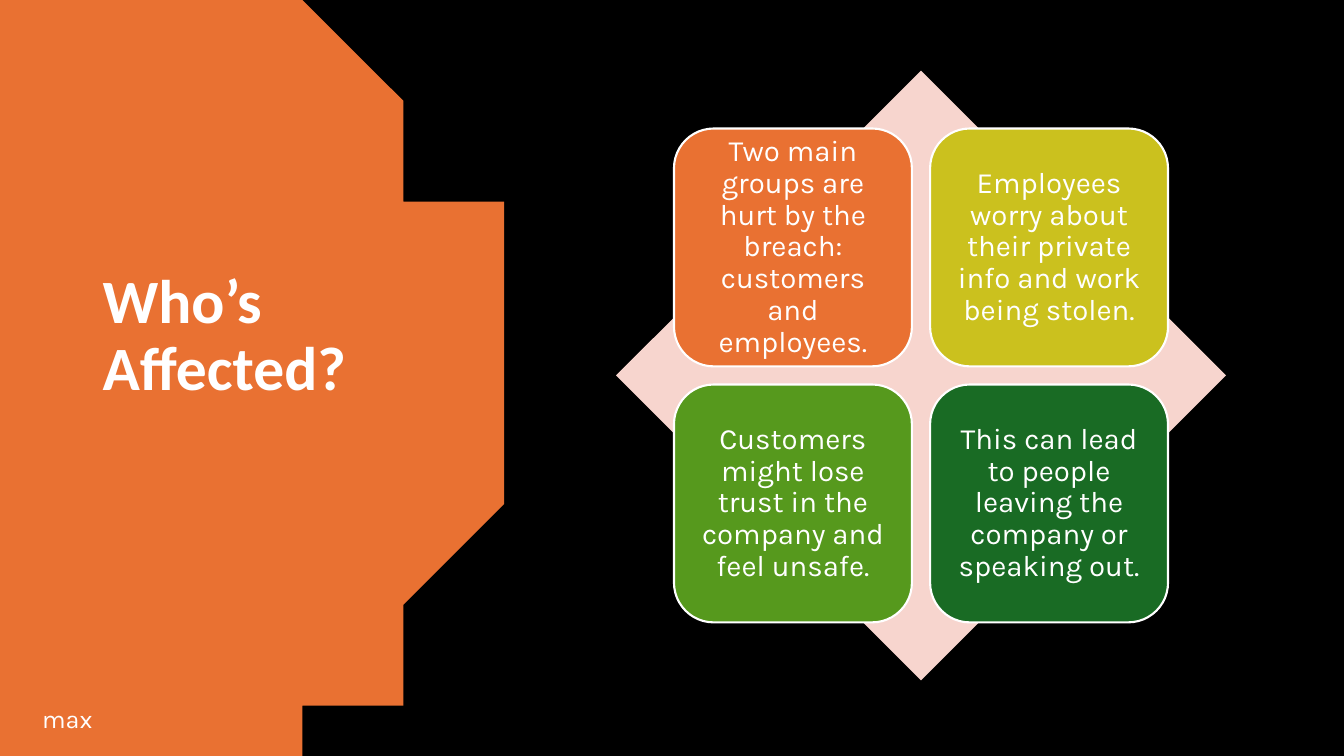
"""Build the "Who's Affected?" slide: a title on a disc beside a four-part matrix."""
from math import asin, cos, sin

from pptx import Presentation
from pptx.dml.color import RGBColor
from pptx.enum.shapes import MSO_SHAPE
from pptx.enum.text import MSO_ANCHOR, PP_ALIGN
from pptx.util import Inches, Pt

DIAMOND, ROUNDED = MSO_SHAPE.DIAMOND, MSO_SHAPE.ROUNDED_RECTANGLE
MIDDLE, TOP = MSO_ANCHOR.MIDDLE, MSO_ANCHOR.TOP
CENTER, LEFT = PP_ALIGN.CENTER, PP_ALIGN.LEFT
WIDTH, HEIGHT = 13.33, 7.5

THEME = {
    "background": "000000", "text": "FFFFFF", "disc": "E97132", "diamond": "F7D5CE",
    "title_font": "Calibri", "body_font": "Karla",
    "title_size": 44, "card_size": 21, "name_size": 18,
}


def paint(shape, color):
    shape.shadow.inherit = False
    shape.fill.solid()
    shape.fill.fore_color.rgb = RGBColor.from_string(color)
    shape.line.fill.background()


def write(box, text, font, size, anchor, align, spacing=1.0):
    frame = box.text_frame
    frame.word_wrap = True
    frame.vertical_anchor = anchor
    para = frame.paragraphs[0]
    para.text = text
    para.alignment = align
    para.line_spacing = spacing
    para.font.name = THEME[font]
    para.font.size = Pt(THEME[size])
    para.font.color.rgb = RGBColor.from_string(THEME["text"])
    return para


deck = Presentation()
deck.slide_width, deck.slide_height = Inches(WIDTH), Inches(HEIGHT)
page = deck.slides.add_slide(deck.slide_layouts[6])
page.background.fill.solid()
page.background.fill.fore_color.rgb = RGBColor.from_string(THEME["background"])

radius, disc_right, middle = 4.4, 4.93, HEIGHT / 2
steps = 40
sweep = asin(middle / radius)
angles = [sweep * (2 * step / steps - 1) for step in range(steps + 1)]
arc = [(disc_right - radius + radius * cos(angle), middle + radius * sin(angle))
       for angle in angles]
outline = page.shapes.build_freeform(0, 0, scale=Inches(1))
outline.add_line_segments(arc + [(0, HEIGHT)], close=True)
paint(outline.convert_to_shape(), THEME["disc"])

title_box = page.shapes.add_textbox(Inches(0.92), Inches(0.7), Inches(3.23), Inches(5.29))
title = write(title_box, "Who’s Affected?", "title_font", "title_size", MIDDLE, LEFT, 0.9)
title.font.bold = True
title.space_before = Pt(10)

matrix_left, matrix_top, matrix_size = 6.11, 0.7, 6.05
diamond = page.shapes.add_shape(DIAMOND, Inches(matrix_left), Inches(matrix_top),
                                Inches(matrix_size), Inches(matrix_size))
paint(diamond, THEME["diamond"])

cards = [
    ("Two main groups are hurt by the breach: customers and employees.", "E97132"),
    ("Employees worry about their private info and work being stolen.", "CBC11E"),
    ("Customers might lose trust in the company and feel unsafe.", "56991D"),
    ("This can lead to people leaving the company or speaking out.", "196B24"),
]
card_size, gap = 2.36, 0.18
margin = (matrix_size - 2 * card_size - gap) / 2
for index, (text, color) in enumerate(cards):
    row, column = divmod(index, 2)
    card = page.shapes.add_shape(
        ROUNDED,
        Inches(matrix_left + margin + column * (card_size + gap)),
        Inches(matrix_top + margin + row * (card_size + gap)),
        Inches(card_size), Inches(card_size))
    paint(card, color)
    card.line.color.rgb = RGBColor.from_string(THEME["text"])
    card.line.width = Pt(1.5)
    frame = card.text_frame
    frame.margin_left = frame.margin_right = Inches(0.09)
    frame.margin_top = frame.margin_bottom = Inches(0.09)
    write(card, text, "body_font", "card_size", MIDDLE, CENTER, 0.9)

name_box = page.shapes.add_textbox(Inches(0.32), Inches(6.93), Inches(2.63), Inches(0.4))
write(name_box, "max", "body_font", "name_size", TOP, LEFT)

deck.save("out.pptx")
